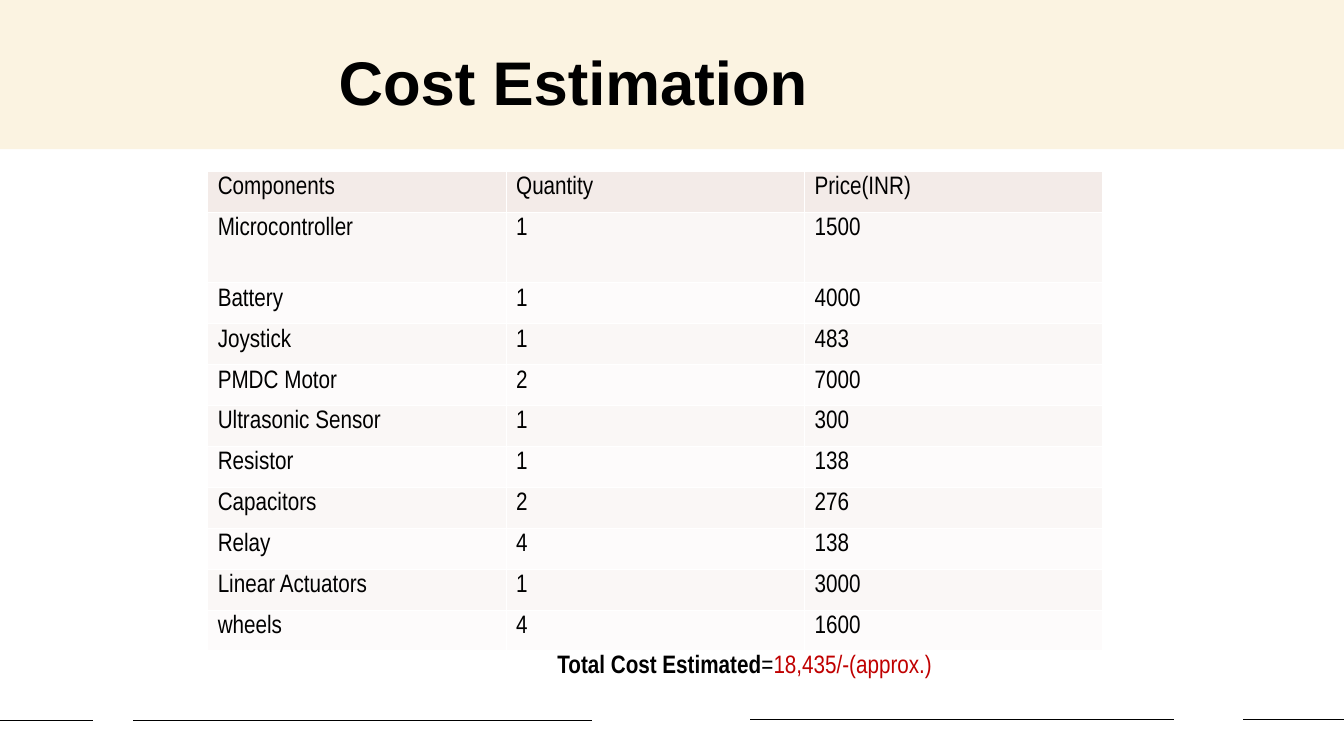
import dataclasses

import pptx
import pptx.dml.color
import pptx.enum.shapes
import pptx.enum.text
import pptx.oxml
import pptx.oxml.ns
import pptx.util

Inches = pptx.util.Inches

COLORS = {
    "black": "000000",
    "white": "FFFFFF",
    "banner": "FBF3E1",
    "header": "F3EBE8",
    "odd_row": "FAF7F6",
    "even_row": "FDFBFB",
    "total": "C00000",
}
BODY_FONT = "Arial Narrow"
TABLE_HEIGHT = 4.76
TALL_ROW_HEIGHT = 0.7
COLUMN_WIDTH = 2.96


@dataclasses.dataclass
class Rule:
    left: float
    right: float
    top: float


@dataclasses.dataclass
class Component:
    name: str
    quantity: str
    price: str


FOOTER_RULES = [
    Rule(0, 0.92, 7.15),
    Rule(1.32, 5.87, 7.15),
    Rule(7.44, 11.64, 7.14),
    Rule(12.33, 13.33, 7.14),
]
COMPONENTS = [
    Component("Components", "Quantity", "Price(INR)"),
    Component("Microcontroller", "1", "1500"),
    Component("Battery", "1", "4000"),
    Component("Joystick", "1", "483"),
    Component("PMDC Motor", "2", "7000"),
    Component("Ultrasonic Sensor", "1", "300"),
    Component("Resistor", "1", "138"),
    Component("Capacitors", "2", "276"),
    Component("Relay", "4", "138"),
    Component("Linear Actuators", "1", "3000"),
    Component("wheels", "4", "1600"),
]


def rgb(name: str) -> pptx.dml.color.RGBColor:
    return pptx.dml.color.RGBColor.from_string(COLORS[name])


def set_font(font, name: str, size: float, bold: bool = False, color: str = "black") -> None:
    font.name = name
    font.size = pptx.util.Pt(size)
    font.bold = bold
    font.color.rgb = rgb(color)


def add_rule(slide, rule: Rule) -> None:
    line = slide.shapes.add_connector(
        pptx.enum.shapes.MSO_CONNECTOR.STRAIGHT,
        Inches(rule.left), Inches(rule.top), Inches(rule.right), Inches(rule.top),
    )
    line.line.color.rgb = rgb("black")
    line.line.width = pptx.util.Pt(1)
    properties = line._element.spPr
    properties.append(pptx.oxml.parse_xml(f"<a:effectLst {pptx.oxml.ns.nsdecls('a')}/>"))


def add_banner(slide) -> None:
    banner = slide.shapes.add_shape(
        pptx.enum.shapes.MSO_SHAPE.RECTANGLE, 0, 0, Inches(13.33), Inches(1.48)
    )
    banner.shadow.inherit = False
    banner.fill.solid()
    banner.fill.fore_color.rgb = rgb("banner")
    banner.line.fill.background()


def add_text_box(slide, left: float, top: float, width: float, height: float):
    """Add a wrapping text box and return its first paragraph."""
    box = slide.shapes.add_textbox(Inches(left), Inches(top), Inches(width), Inches(height))
    box.text_frame.word_wrap = True
    box.text_frame.auto_size = pptx.enum.text.MSO_AUTO_SIZE.SHAPE_TO_FIT_TEXT
    return box.text_frame.paragraphs[0]


def add_title(slide) -> None:
    paragraph = add_text_box(slide, 3.26, 0.39, 6.25, 0.84)
    paragraph.text = "Cost Estimation"
    set_font(paragraph.font, "Arial", 44, bold=True)


def add_total(slide) -> None:
    paragraph = add_text_box(slide, 5.43, 6.38, 5.17, 0.4)
    for text, bold, color in (
        ("Total Cost Estimated", True, "black"),
        ("=", False, "black"),
        ("18,435/-(approx.)", False, "total"),
    ):
        run = paragraph.add_run()
        run.text = text
        set_font(run.font, BODY_FONT, 18, bold, color)


def set_borders(cell) -> None:
    properties = cell._tc.get_or_add_tcPr()
    for index, side in enumerate(("lnL", "lnR", "lnT", "lnB")):
        border = pptx.oxml.parse_xml(
            f'<a:{side} {pptx.oxml.ns.nsdecls("a")} w="{pptx.util.Pt(1)}">'
            f'<a:solidFill><a:srgbClr val="{COLORS["white"]}"/></a:solidFill></a:{side}>'
        )
        properties.insert(index, border)


def add_cost_table(slide) -> None:
    table = slide.shapes.add_table(
        len(COMPONENTS), 3, Inches(2.06), Inches(1.7),
        Inches(3 * COLUMN_WIDTH), Inches(TABLE_HEIGHT),
    ).table
    table.horz_banding = False
    for column in table.columns:
        column.width = Inches(COLUMN_WIDTH)
    row_height = (TABLE_HEIGHT - TALL_ROW_HEIGHT) / (len(COMPONENTS) - 1)
    for index, (row, component) in enumerate(zip(table.rows, COMPONENTS)):
        row.height = Inches(TALL_ROW_HEIGHT if index == 1 else row_height)
        fill = "header" if index == 0 else "odd_row" if index % 2 else "even_row"
        for cell, text in zip(row.cells, dataclasses.astuple(component)):
            cell.fill.solid()
            cell.fill.fore_color.rgb = rgb(fill)
            set_borders(cell)
            paragraph = cell.text_frame.paragraphs[0]
            paragraph.text = text
            set_font(paragraph.font, BODY_FONT, 18)


def main() -> None:
    presentation = pptx.Presentation()
    presentation.slide_width = Inches(13.33)
    presentation.slide_height = Inches(7.5)
    slide = presentation.slides.add_slide(presentation.slide_layouts[6])
    for rule in FOOTER_RULES:
        add_rule(slide, rule)
    add_banner(slide)
    add_title(slide)
    add_total(slide)
    add_cost_table(slide)
    presentation.save("out.pptx")


if __name__ == "__main__":
    main()
